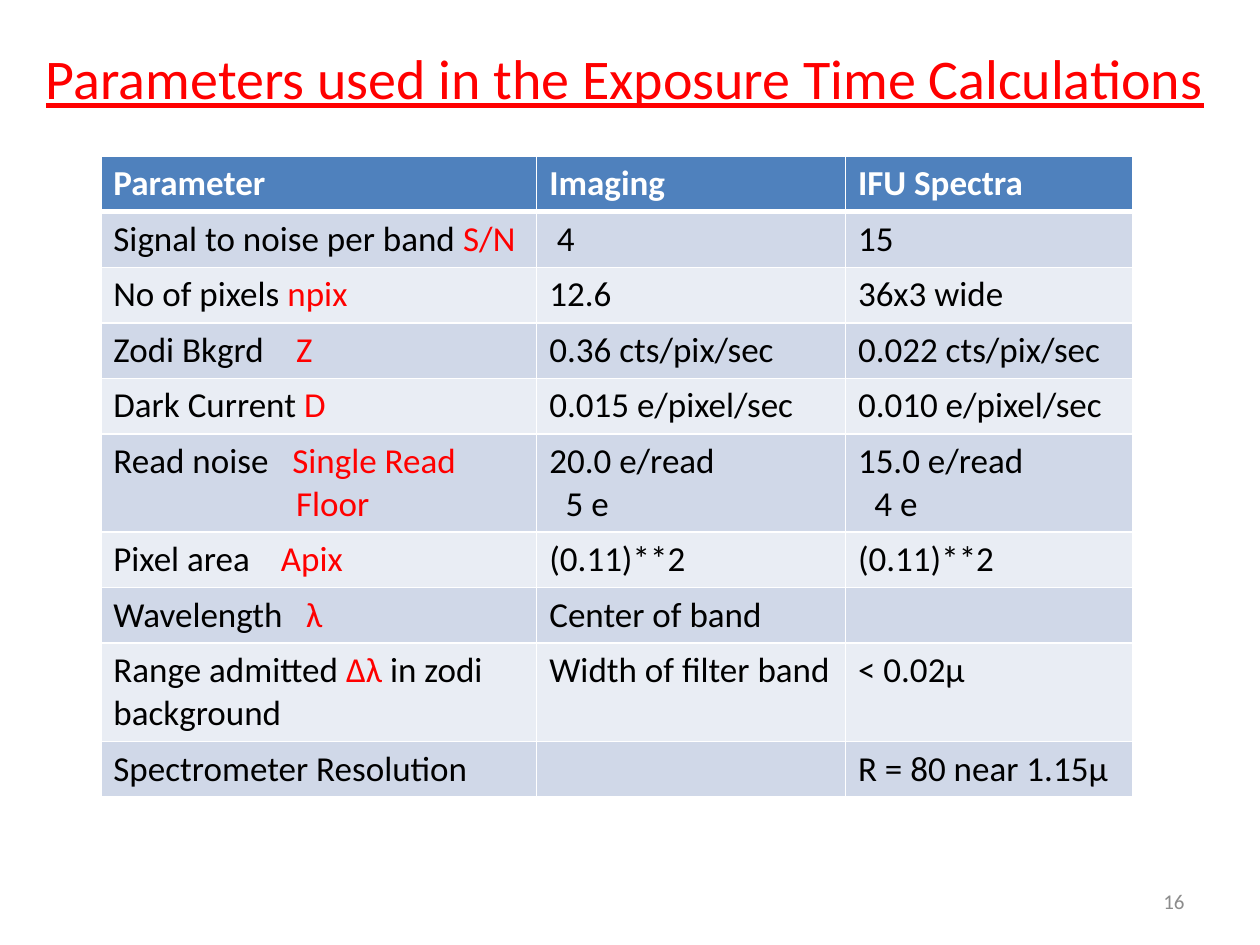
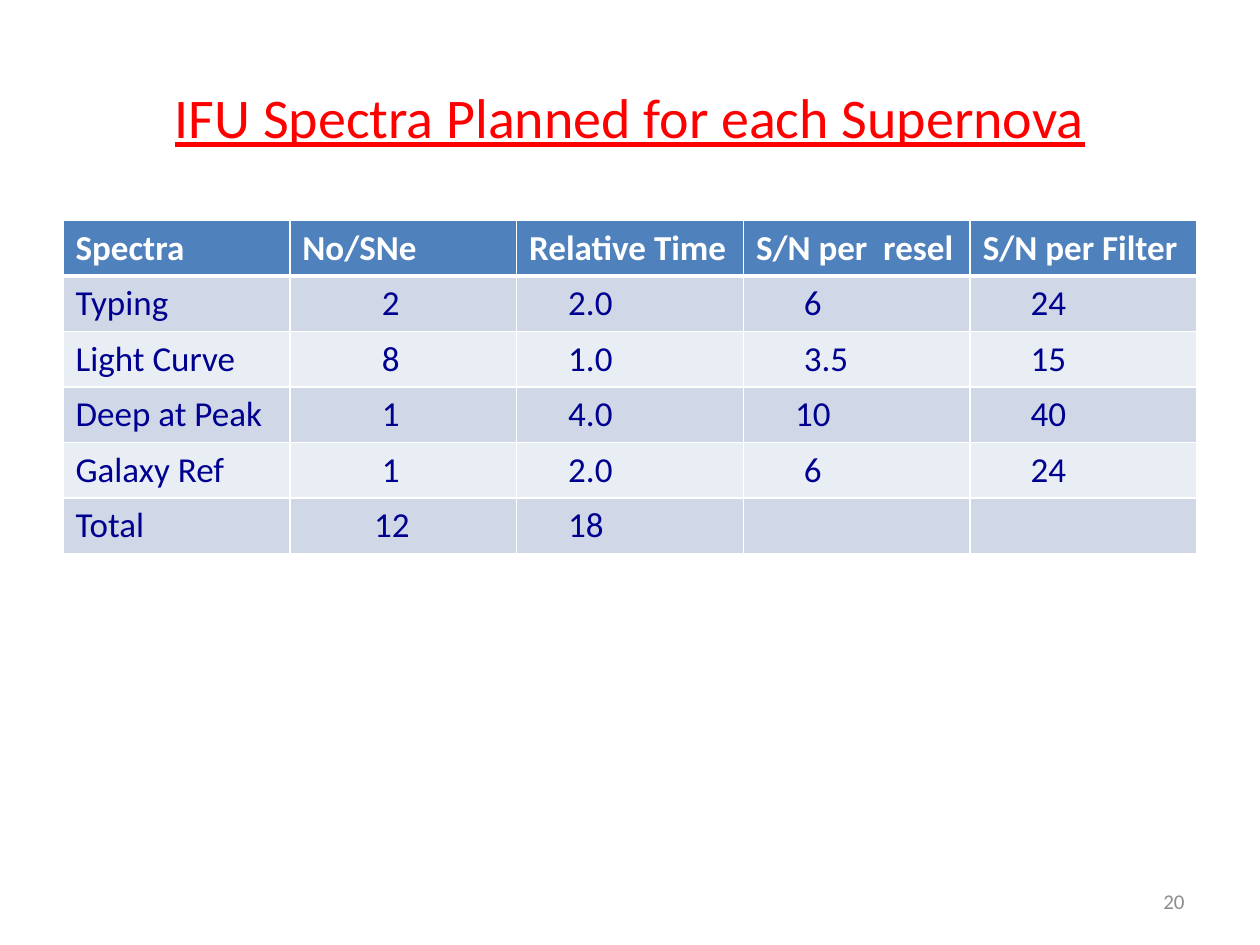
from dataclasses import dataclass

from lxml import etree
from pptx import Presentation
from pptx.dml.color import RGBColor
from pptx.enum.text import MSO_ANCHOR, MSO_AUTO_SIZE, PP_ALIGN
from pptx.oxml.ns import qn
from pptx.util import Inches, Pt

LEFT, CENTER, RIGHT = PP_ALIGN.LEFT, PP_ALIGN.CENTER, PP_ALIGN.RIGHT
TOP, MIDDLE = MSO_ANCHOR.TOP, MSO_ANCHOR.MIDDLE
NO_FIT = MSO_AUTO_SIZE.NONE


@dataclass(frozen=True)
class Theme:
    font: str = "Calibri"
    title: str = "FF0000"
    symbol: str = "FF0000"
    black: str = "000000"
    navy: str = "000090"
    white: str = "FFFFFF"
    grey: str = "8C8C8C"
    header: str = "4F81BD"
    bands: tuple = ("D0D8E8", "E9EDF4")
    title_size: int = 32
    body_size: int = 20
    number_size: int = 12
    thin: int = 1
    thick: int = 3
    row: float = 0.44    # row with one line of text
    line: float = 0.34   # each further line


@dataclass(frozen=True)
class Para:
    """Runs alternate between plain text and a highlighted symbol."""
    runs: tuple
    indent: float = 0
    tab: float = 0


T = Theme()

# ---- Content: a cell is a string, a Para or a list of Paras ----
PARAMETERS = [
    ["Parameter", "Imaging", "IFU Spectra"],
    [Para(("Signal to noise per band ", "S/N")), Para(("4",), indent=0.06), "15"],
    [Para(("No of pixels ", "npix")), "12.6", "36x3 wide"],
    [Para(("Zodi Bkgrd\t", "Z"), tab=1.45), "0.36 cts/pix/sec", "0.022 cts/pix/sec"],
    [Para(("Dark Current ", "D")), "0.015 e/pixel/sec", "0.010 e/pixel/sec"],
    [[Para(("Read noise\t", "Single Read"), tab=1.42), Para(("", "Floor"), indent=1.45)],
     [Para(("20.0 e/read",)), Para(("5 e",), indent=0.13)],
     [Para(("15.0 e/read",)), Para(("4 e",), indent=0.13)]],
    [Para(("Pixel area\t", "Apix"), tab=1.33), "(0.11)**2", "(0.11)**2"],
    [Para(("Wavelength\t", "λ"), tab=1.53), "Center of band", ""],
    [Para(("Range admitted ", "Δλ ", "in zodi background")),
     "Width of filter band", "< 0.02μ"],
    ["Spectrometer Resolution", "", "R = 80 near 1.15μ"],
]

SPECTRA = [
    ["Spectra", "No/SNe", "Relative Time", "S/N per  resel", "S/N per Filter"],
    ["Typing", "2", "2.0", "6", "24"],
    ["Light Curve", "8", "1.0", "3.5", "15"],
    ["Deep at Peak", "1", "4.0", Para(("10",), indent=0.31), "40"],
    ["Galaxy Ref", "1", "2.0", "6", "24"],
    ["Total", Para(("12",), indent=0.57), "18", "", ""],
]

SLIDES = [
    dict(title="Parameters used in the Exposure Time Calculations",
         title_box=(0.21, -0.01, 9.5, 1.25), number="16",
         rows=PARAMETERS, origin=(0.8, 1.24), widths=(3.46, 2.45, 2.28),
         indents=(0, 0, 0), two_line_rows=(5, 8), color=T.black),
    dict(title="IFU Spectra Planned for each Supernova",
         title_box=(0.5, 0.3, 9, 1.25), number="20",
         rows=SPECTRA, origin=(0.5, 1.75), widths=(1.8,) * 5,
         indents=(0, 0.63, 0.31, 0.38, 0.38), two_line_rows=(), color=T.navy),
]
NUMBER_BOX = (7.17, 6.95, 2.33, 0.4)


# ---- Helpers ----
def write(tf, text, size=T.body_size, color=T.black, bold=False, underline=False,
          align=LEFT, anchor=TOP, indent=0):
    """Fill a text frame; indent applies to plain strings."""
    if isinstance(text, str):
        text = Para((text,), indent=indent)
    paras = text if isinstance(text, list) else [text]
    tf.word_wrap = True
    tf.vertical_anchor = anchor
    for i, para in enumerate(paras):
        p = tf.paragraphs[0] if i == 0 else tf.add_paragraph()
        p.alignment = align
        p.font.size = Pt(size)
        pPr = p._p.get_or_add_pPr()
        if para.indent:
            pPr.set("marL", str(Inches(para.indent)))
        if para.tab:
            tabs = etree.Element(qn("a:tabLst"))
            etree.SubElement(tabs, qn("a:tab"), pos=str(Inches(para.tab)), algn="l")
            pPr.insert(0, tabs)
        for j, piece in enumerate(para.runs):
            if not piece:
                continue
            r = p.add_run()
            r.text = piece
            f = r.font
            f.name, f.size, f.bold, f.underline = T.font, Pt(size), bold, underline
            f.color.rgb = RGBColor.from_string(T.symbol if j % 2 else color)


def set_borders(cell, **widths):
    tcPr = cell._tc.get_or_add_tcPr()
    for side in "LRTB":
        ln = etree.SubElement(tcPr, qn("a:ln" + side),
                              w=str(Pt(widths.get(side, T.thin))))
        fill = etree.SubElement(ln, qn("a:solidFill"))
        etree.SubElement(fill, qn("a:srgbClr"), val=T.white)


def add_grid(s, rows, origin, widths, indents, two_line_rows, color):
    heights = [T.row + T.line * (i in two_line_rows) for i in range(len(rows))]
    box = (*origin, sum(widths), sum(heights))
    table = s.shapes.add_table(len(rows), len(widths), *map(Inches, box)).table
    for col, width in zip(table.columns, widths):
        col.width = Inches(width)
    for i, (row, height) in enumerate(zip(rows, heights)):
        table.rows[i].height = Inches(height)
        head = i == 0
        for j, content in enumerate(row):
            cell = table.cell(i, j)
            set_borders(cell, T=T.thick if i == 1 else T.thin,
                        B=T.thick if head else T.thin)
            cell.fill.solid()
            cell.fill.fore_color.rgb = RGBColor.from_string(
                T.header if head else T.bands[(i - 1) % 2])
            write(cell.text_frame, content, bold=head,
                  color=T.white if head else color,
                  indent=0 if head else indents[j])


def add_slide(prs, title, title_box, number, **grid):
    s = prs.slides.add_slide(prs.slide_layouts[5])
    # Title
    sp = s.shapes.title
    sp.left, sp.top, sp.width, sp.height = map(Inches, title_box)
    sp.text_frame.auto_size = NO_FIT
    write(sp.text_frame, title, size=T.title_size, color=T.title,
          underline=True, align=CENTER, anchor=MIDDLE)
    # Table
    add_grid(s, **grid)
    # Slide number
    sp = s.shapes.add_textbox(*map(Inches, NUMBER_BOX))
    write(sp.text_frame, number, size=T.number_size, color=T.grey,
          align=RIGHT, anchor=MIDDLE)


# ---- Build ----
prs = Presentation()
prs.slide_width, prs.slide_height = Inches(10), Inches(7.5)
for content in SLIDES:
    add_slide(prs, **content)
prs.save("out.pptx")
